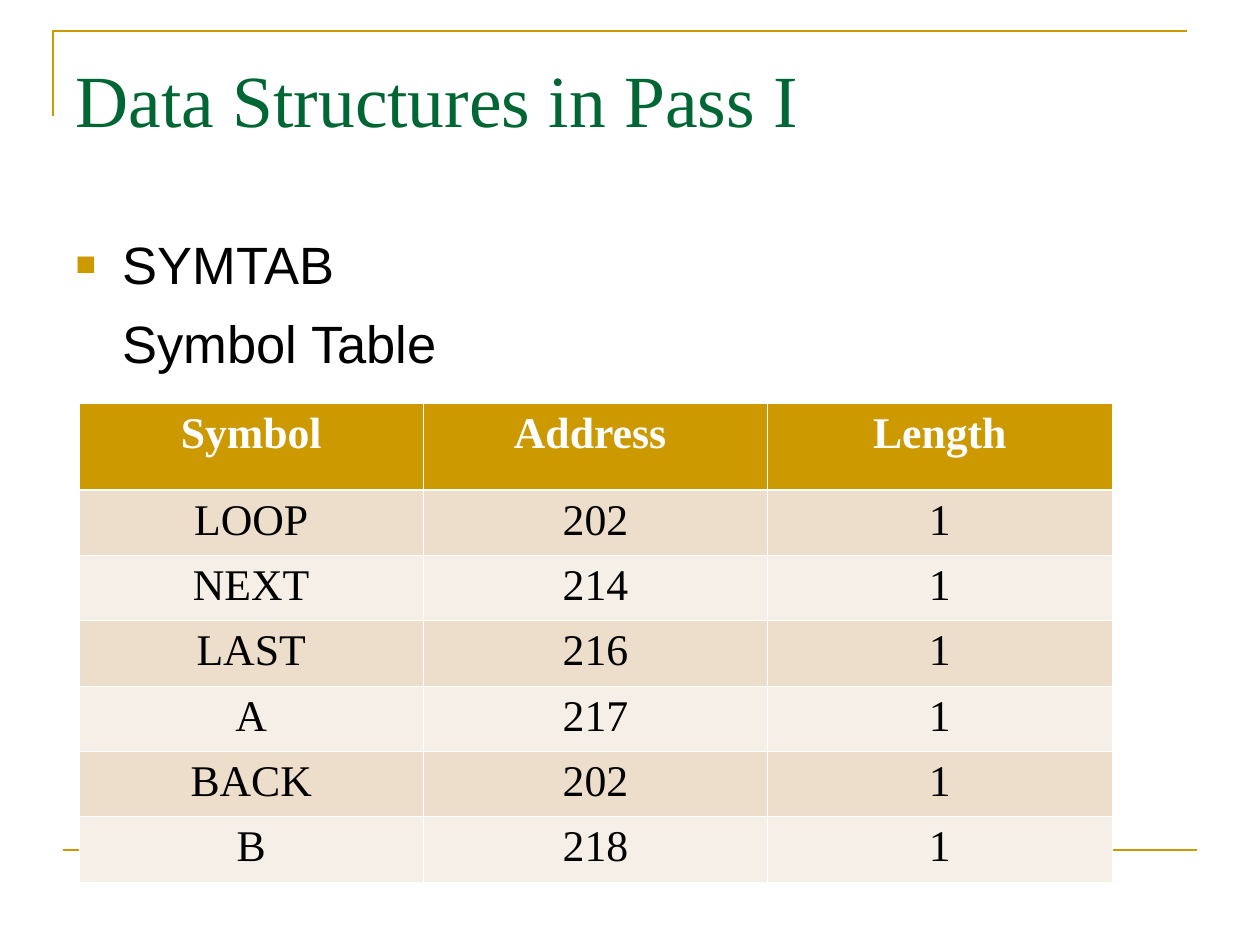
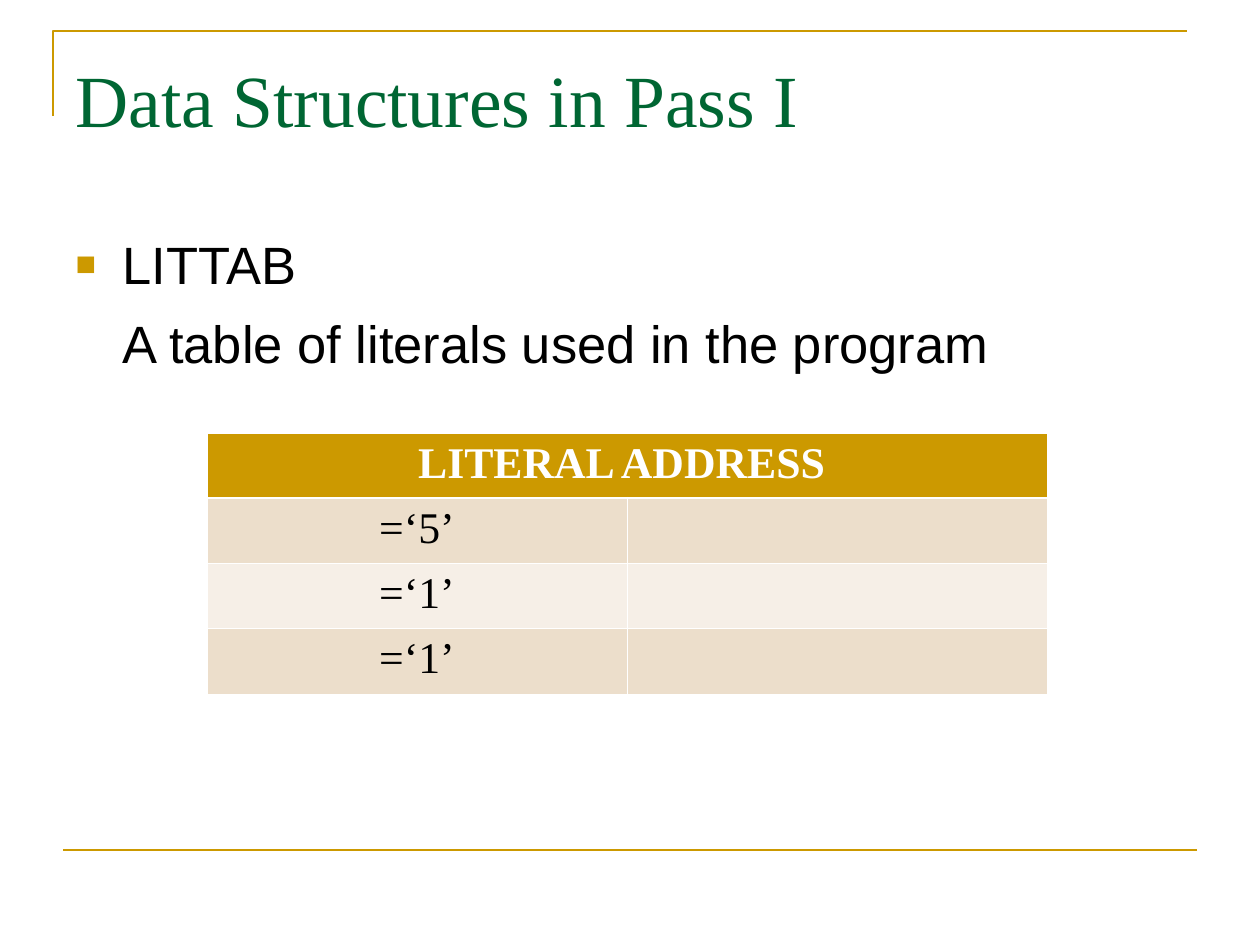
from dataclasses import dataclass

from lxml import etree
from pptx import Presentation
from pptx import util as u
from pptx.dml import color
from pptx.enum import text
from pptx.oxml import ns

EMU_PER_PX = 914400 / 126
SLIDE_WIDTH, SLIDE_HEIGHT = 1260, 945
GOLD, GREEN, BLACK, WHITE = "CC9900", "006633", "000000", "FFFFFF"
BANDS = ("ECDECB", "F6EFE7")
SERIF, SANS = "Times New Roman", "Arial"
FRAME_CORNER = ((53, 116), (53, 31), (1187, 31))
FOOTER_RULE = ((63, 850), (1197, 850))
BULLET_INDENT = 47
THIN_BORDER, HEADER_BORDER = 0.45, 1.47


@dataclass(frozen=True)
class Box:
    left: int
    top: int
    width: int
    height: int


@dataclass(frozen=True)
class SymbolTable:
    box: Box
    header_height: int
    header: tuple[str, ...]
    rows: tuple[tuple[str, ...], ...]


@dataclass(frozen=True)
class TablePage:
    name: str
    description: str
    table: SymbolTable


TITLE = "Data Structures in Pass I"
TITLE_BOX = Box(63, 38, 1134, 157)
BODY_BOX = Box(63, 220, 1134, 624)
PAGES = (
    TablePage("SYMTAB", "Symbol Table", SymbolTable(
        Box(79, 403, 1033, 479), 87,
        ("Symbol", "Address ", "Length"),
        (("LOOP", "202", "1"), ("NEXT", "214", "1"), ("LAST", "216", "1"),
         ("A", "217", "1"), ("BACK", "202", "1"), ("B", "218", "1")),
    )),
    TablePage("LITTAB", "A table of literals used in the program", SymbolTable(
        Box(207, 433, 840, 261), 65,
        ("LITERAL ADDRESS ",),
        (("=‘5’", ""), ("=‘1’", ""), ("=‘1’", "")),
    )),
)


def px(length: float) -> u.Emu:
    return u.Emu(round(length * EMU_PER_PX))


def rgb(value: str) -> color.RGBColor:
    return color.RGBColor.from_string(value)


def place(shape, box: Box) -> None:
    shape.left, shape.top = px(box.left), px(box.top)
    shape.width, shape.height = px(box.width), px(box.height)


def format_runs(paragraph, size: int, font: str, ink: str, bold: bool = False) -> None:
    for run in paragraph.runs:
        run.font.size = u.Pt(size)
        run.font.name = font
        run.font.bold = bold
        run.font.color.rgb = rgb(ink)


def add_element(parent, tag: str, **attributes: str):
    return etree.SubElement(parent, ns.qn(tag), attributes)


def style_line(shape) -> None:
    shape.line.color.rgb = rgb(GOLD)
    shape.line.width = u.Pt(1.5)


def draw_frame(slide) -> None:
    start, *others = FRAME_CORNER
    builder = slide.shapes.build_freeform(*start, scale=EMU_PER_PX)
    builder.add_line_segments(others, close=False)
    corner = builder.convert_to_shape()
    corner.fill.background()
    corner.shadow.inherit = False
    style_line(corner)

    (x1, y1), (x2, y2) = FOOTER_RULE
    rule = slide.shapes.add_connector(1, px(x1), px(y1), px(x2), px(y2))
    style_line(rule)
    add_element(rule._element.spPr, "a:effectLst")


def fill_title(slide) -> None:
    title = slide.shapes.title
    place(title, TITLE_BOX)
    frame = title.text_frame
    frame.text = TITLE
    frame.auto_size = text.MSO_AUTO_SIZE.NONE
    frame.vertical_anchor = text.MSO_ANCHOR.TOP
    frame.margin_top = px(16)
    frame.paragraphs[0].alignment = text.PP_ALIGN.LEFT
    format_runs(frame.paragraphs[0], 42, SERIF, GREEN)


def set_bullet(paragraph, shown: bool) -> None:
    properties = paragraph._p.get_or_add_pPr()
    properties.set("marL", str(px(BULLET_INDENT)))
    properties.set("indent", str(px(-BULLET_INDENT if shown else 0)))
    if not shown:
        add_element(properties, "a:buNone")
        return
    bullet_color = add_element(properties, "a:buClr")
    add_element(bullet_color, "a:srgbClr", val=GOLD)
    add_element(properties, "a:buSzPct", val="65000")
    add_element(properties, "a:buFont", typeface=SANS)
    add_element(properties, "a:buChar", char="■")


def fill_body(slide, page: TablePage) -> None:
    body = slide.placeholders[1]
    place(body, BODY_BOX)
    frame = body.text_frame
    frame.text = f"{page.name}\n{page.description}"
    frame.auto_size = text.MSO_AUTO_SIZE.NONE
    frame.margin_top = px(12)
    for index, paragraph in enumerate(frame.paragraphs):
        set_bullet(paragraph, shown=index == 0)
        paragraph.space_before = u.Pt(9 if index else 0)
        format_runs(paragraph, 30, SANS, BLACK)


def set_borders(cell, top: float, bottom: float) -> None:
    properties = cell._tc.get_or_add_tcPr()
    widths = {"a:lnL": THIN_BORDER, "a:lnR": THIN_BORDER, "a:lnT": top, "a:lnB": bottom}
    for tag, width in widths.items():
        border = add_element(properties, tag, w=str(u.Pt(width)))
        fill = add_element(border, "a:solidFill")
        add_element(fill, "a:srgbClr", val=WHITE)


def draw_cell(cell, content: str, row: int) -> None:
    is_header = row == 0
    set_borders(
        cell,
        HEADER_BORDER if row == 1 else THIN_BORDER,
        HEADER_BORDER if is_header else THIN_BORDER,
    )
    cell.fill.solid()
    cell.fill.fore_color.rgb = rgb(GOLD if is_header else BANDS[(row - 1) % 2])
    cell.text_frame.text = content
    paragraph = cell.text_frame.paragraphs[0]
    paragraph.alignment = text.PP_ALIGN.CENTER
    format_runs(paragraph, 25, SERIF, WHITE if is_header else BLACK, is_header)


def draw_table(slide, spec: SymbolTable) -> None:
    box = spec.box
    column_count = len(spec.rows[0])
    graphic = slide.shapes.add_table(
        len(spec.rows) + 1, column_count,
        px(box.left), px(box.top), px(box.width), px(box.height),
    )
    table = graphic.table
    for column in table.columns:
        column.width = px(box.width / column_count)
    for index, row in enumerate(table.rows):
        body_height = (box.height - spec.header_height) / len(spec.rows)
        row.height = px(body_height if index else spec.header_height)
    padding = ("",) * (column_count - len(spec.header))
    for row, contents in enumerate((spec.header + padding, *spec.rows)):
        for column, content in enumerate(contents):
            draw_cell(table.cell(row, column), content, row)
    if padding:
        table.cell(0, len(spec.header) - 1).merge(table.cell(0, column_count - 1))


def main() -> None:
    presentation = Presentation()
    presentation.slide_width = px(SLIDE_WIDTH)
    presentation.slide_height = px(SLIDE_HEIGHT)
    for page in PAGES:
        slide = presentation.slides.add_slide(presentation.slide_layouts[1])
        draw_frame(slide)
        fill_title(slide)
        fill_body(slide, page)
        draw_table(slide, page.table)
    presentation.save("out.pptx")


if __name__ == "__main__":
    main()
